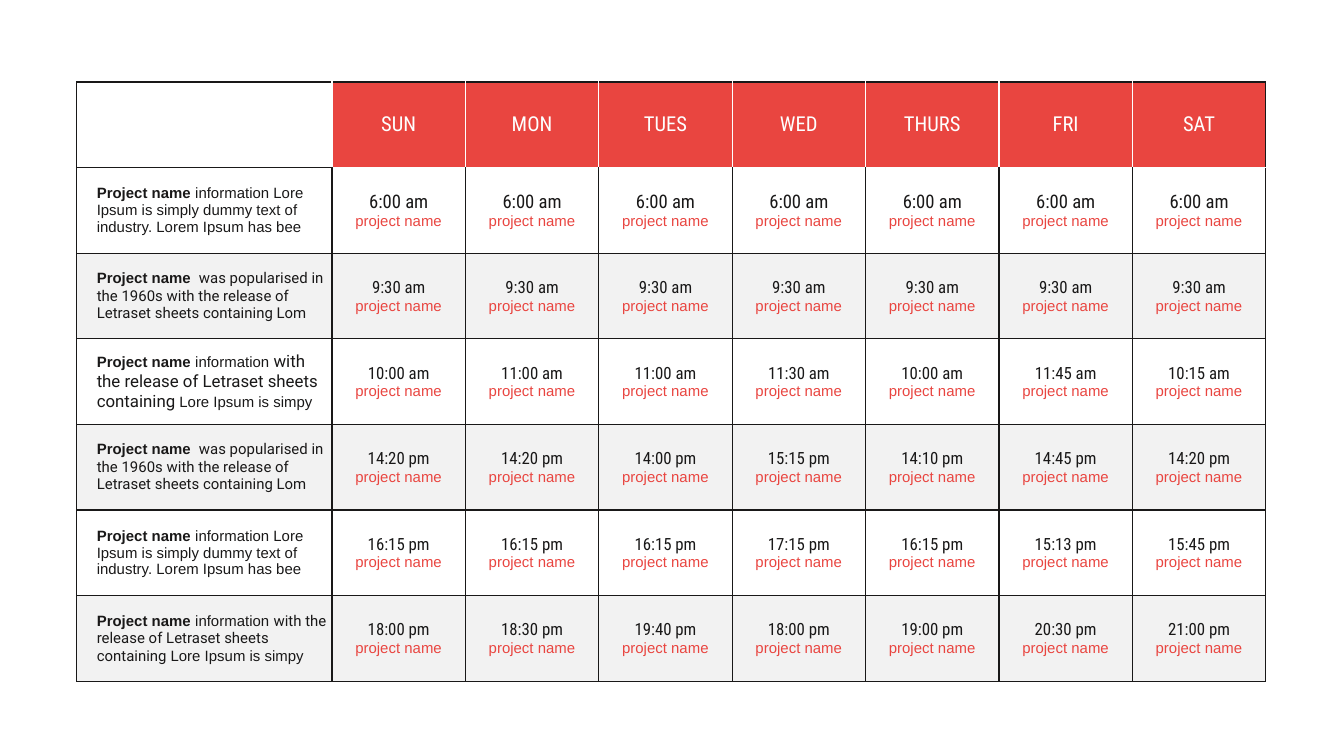
from lxml.etree import SubElement
from pptx import Presentation
from pptx.dml.color import RGBColor
from pptx.enum.text import MSO_ANCHOR, PP_ALIGN
from pptx.oxml.ns import qn
from pptx.util import Inches, Pt

DARK = RGBColor(0x19, 0x18, 0x18)
WHITE = RGBColor(0xFE, 0xFF, 0xFF)
RED = RGBColor(0xE9, 0x45, 0x40)
GREY = RGBColor(0xE7, 0xE7, 0xE7)
ARIAL, ROBOTO, CONDENSED = "Arial", "Roboto", "Roboto Condensed"

DAYS = ["SUN", "MON", "TUES", "WED", "THURS", "FRI", "SAT"]
LOREM = [("information Lore Ipsum is simply dummy text of industry. Lorem Ipsum has bee", ARIAL, 8)]
POPULARISED = [(" was popularised in the 1960s with the release of Letraset sheets containing Lom", ROBOTO, 8)]
RELEASE = "with the release of Letraset sheets containing "
SCHEDULE = [
    (LOREM, 10, ["6:00 am"] * 7),
    (POPULARISED, 9, ["9:30 am"] * 7),
    ([("information ", ARIAL, 8), (RELEASE, ROBOTO, 9), ("Lore Ipsum is simpy", ARIAL, 8)], 9,
     ["10:00 am", "11:00 am", "11:00 am", "11:30 am", "10:00 am", "11:45 am", "10:15 am"]),
    (POPULARISED, 9,
     ["14:20 pm", "14:20 pm", "14:00 pm", "15:15 pm", "14:10 pm", "14:45 pm", "14:20 pm"]),
    (LOREM, 9,
     ["16:15 pm", "16:15 pm", "16:15 pm", "17:15 pm", "16:15 pm", "15:13 pm", "15:45 pm"]),
    ([("information ", ARIAL, 8), (RELEASE, ROBOTO, 8), ("Lore Ipsum is simpy", ARIAL, 8)], 9,
     ["18:00 pm", "18:30 pm", "19:40 pm", "18:00 pm", "19:00 pm", "20:30 pm", "21:00 pm"]),
]
ROWS, COLUMNS = len(SCHEDULE) + 1, len(DAYS) + 1


def add_run(paragraph, text, font_name, size, color, bold=False):
    run = paragraph.add_run()
    run.text = text
    run.font.name = font_name
    run.font.size = Pt(size)
    run.font.color.rgb = color
    run.font.bold = bold


def set_border(cell, side, color):
    line = SubElement(cell._tc.get_or_add_tcPr(), qn(f"a:ln{side}"), w=str(Pt(0.75)))
    fill = SubElement(line, qn("a:solidFill"))
    SubElement(fill, qn("a:srgbClr"), val=str(color))


presentation = Presentation()
presentation.slide_width = Inches(10)
presentation.slide_height = presentation.slide_width * 9 // 16
slide = presentation.slides.add_slide(presentation.slide_layouts[6])

table_width, table_height, name_width = Inches(8.85), Inches(4.46), Inches(1.9)
table = slide.shapes.add_table(
    ROWS, COLUMNS, Inches(0.57), Inches(0.61), table_width, table_height).table
table.first_row = False
table.horz_banding = False
for index, column in enumerate(table.columns):
    column.width = (table_width - name_width) // len(DAYS) if index else name_width
for row in table.rows:
    row.height = table_height // ROWS

for row_index in range(ROWS):
    for column_index in range(COLUMNS):
        cell = table.cell(row_index, column_index)
        is_header = row_index == 0
        is_day = column_index > 0
        is_last = column_index == len(DAYS)
        set_border(cell, "L", WHITE if is_header and is_day else DARK)
        set_border(cell, "R", WHITE if is_header and not is_last else DARK)
        set_border(cell, "T", WHITE if row_index == 1 and is_day else DARK)
        set_border(cell, "B", WHITE if is_header and is_day else DARK)

        if is_header and is_day:
            cell.fill.solid()
            cell.fill.fore_color.rgb = RED
        elif row_index and row_index % 2 == 0:
            cell.fill.solid()
            cell.fill.fore_color.rgb = GREY
            grey = cell._tc.tcPr.find(f"{qn('a:solidFill')}/{qn('a:srgbClr')}")
            SubElement(grey, qn("a:alpha"), val="50000")
        else:
            cell.fill.background()

        cell.vertical_anchor = MSO_ANCHOR.MIDDLE
        cell.margin_left = Inches(0.04 if is_day else 0.15)
        cell.margin_right = Inches(0.04)
        cell.margin_top = cell.margin_bottom = Inches(0.02)
        paragraph = cell.text_frame.paragraphs[0]
        paragraph.alignment = PP_ALIGN.CENTER if is_day else PP_ALIGN.LEFT

        if is_header:
            if is_day:
                add_run(paragraph, DAYS[column_index - 1], CONDENSED, 11, WHITE)
            continue
        description, time_size, times = SCHEDULE[row_index - 1]
        if is_day:
            add_run(paragraph, times[column_index - 1], CONDENSED, time_size, DARK)
            project = cell.text_frame.add_paragraph()
            project.alignment = PP_ALIGN.CENTER
            add_run(project, "project name", ARIAL, 8, RED)
        else:
            add_run(paragraph, "Project name ", ARIAL, 8, DARK, bold=True)
            for text, font_name, size in description:
                add_run(paragraph, text, font_name, size, DARK)

presentation.save("out.pptx")
